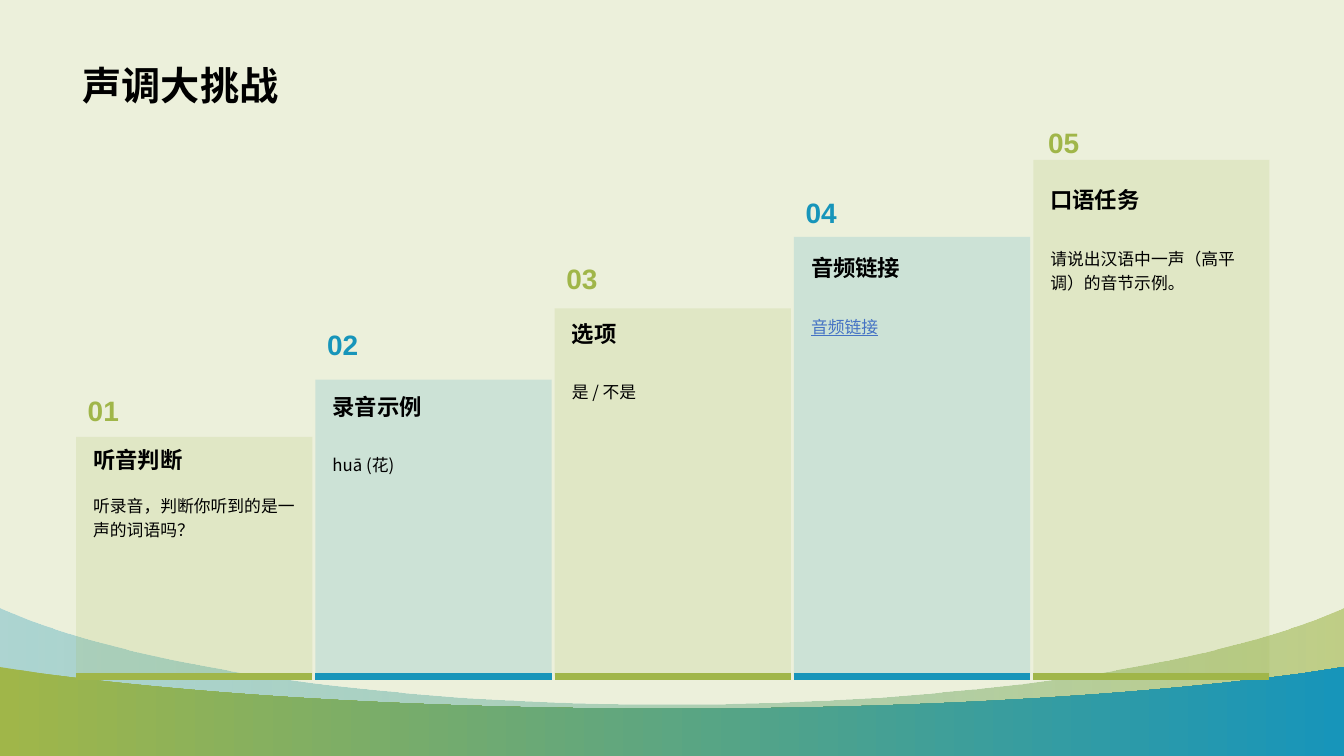
from lxml import etree
from pptx import Presentation
from pptx.dml.color import RGBColor
from pptx.enum.shapes import MSO_CONNECTOR, MSO_SHAPE
from pptx.enum.text import MSO_ANCHOR, MSO_AUTO_SIZE, PP_ALIGN
from pptx.oxml.ns import qn
from pptx.util import Cm, Pt

CREAM = RGBColor(0xEC, 0xF0, 0xDB)
GREEN = RGBColor(0xA0, 0xB6, 0x49)
BLUE = RGBColor(0x17, 0x95, 0xBA)
BLACK = RGBColor(0, 0, 0)
LINK = RGBColor(0x44, 0x72, 0xC4)
SANS = "Noto Sans CJK SC"
SLIDE_W, SLIDE_H = 33.87, 19.05

# number, heading, body, step top, number top, heading top, body gap (cm)
STEPS = [
    ("01", "听音判断", "听录音，判断你听到的是一声的词语吗？", 11.01, 9.78, 11.13, 1.14),
    ("02", "录音示例", "huā (花)", 9.57, 8.11, 9.78, 1.46),
    ("03", "选项", "是 / 不是", 7.77, 6.45, 7.93, 1.47),
    ("04", "音频链接", "音频链接", 5.97, 4.8, 6.27, 1.48),
    ("05", "口语任务", "请说出汉语中一声（高平调）的音节示例。", 4.03, 3.02, 4.56, 1.47),
]
LINKED_STEP = "04"

# edge height, then the Bezier points of the left half (cm)
BACK_WAVE = (15.32, [(0.1, 15.37), (3.33, 16.79), (9.65, 17.75), (16.93, 17.75)])
FRONT_WAVE = (16.81, [(1.04, 16.97), (5.23, 17.53), (10.8, 17.86), (16.93, 17.86)])


def set_alpha(color_parent, percent):
    color = color_parent.find(".//" + qn("a:srgbClr"))
    etree.SubElement(color, qn("a:alpha")).set("val", str(percent * 1000))


def write(frame, text, size, color, font=SANS, **formats):
    paragraph = frame.paragraphs[0]
    run = paragraph.add_run()
    run.text = text
    run.font.color.rgb = color
    for name, value in {"size": Pt(size), "name": font, **formats}.items():
        setattr(run.font, name, value)
    east_asian = etree.SubElement(run.font._element, qn("a:ea"))
    east_asian.set("typeface", font)
    return paragraph


def add_text(slide, box, *args, wrap=True, **formats):
    frame = slide.shapes.add_textbox(*map(Cm, box)).text_frame
    frame.word_wrap = wrap
    if wrap:
        frame.auto_size = MSO_AUTO_SIZE.SHAPE_TO_FIT_TEXT
    else:
        frame.vertical_anchor = MSO_ANCHOR.MIDDLE
    return write(frame, *args, **formats)


def bend(line, points, top):
    """Turn a straight path segment into a cubic Bezier curve."""
    curve = etree.Element(qn("a:cubicBezTo"))
    for x, y in points:
        point = etree.SubElement(curve, qn("a:pt"))
        point.set("x", str(int(Cm(x))))
        point.set("y", str(int(Cm(y) - Cm(top))))
    line.getparent().replace(line, curve)


def add_wave(slide, wave, angle, alphas=()):
    edge, left_curve = wave
    right_curve = [(SLIDE_W - x, y) for x, y in reversed(left_curve)]
    corners = [left_curve[0], left_curve[-1], right_curve[-1],
               (SLIDE_W, edge), (SLIDE_W, SLIDE_H), (0, SLIDE_H)]
    builder = slide.shapes.build_freeform(Cm(0), Cm(edge))
    builder.add_line_segments([(Cm(x), Cm(y)) for x, y in corners], close=True)
    shape = builder.convert_to_shape()
    lines = shape._element.spPr.findall(".//" + qn("a:lnTo"))
    for line, curve in zip(lines[1:3], (left_curve, right_curve)):
        bend(line, curve[1:], edge)

    shape.shadow.inherit = False
    shape.line.fill.background()
    shape.fill.gradient()
    shape.fill.gradient_angle = angle
    for stop, color, position in zip(shape.fill.gradient_stops, (GREEN, BLUE), (0, 1)):
        stop.color.rgb = color
        stop.position = position
    stops = shape._element.spPr.findall(".//" + qn("a:gs"))
    for stop, alpha in zip(stops, alphas):
        set_alpha(stop, alpha)


def add_title(slide, box):
    title = slide.shapes.title
    title.left, title.top, title.width, title.height = map(Cm, box)
    frame = title.text_frame
    frame.auto_size = MSO_AUTO_SIZE.NONE
    frame.vertical_anchor = MSO_ANCHOR.BOTTOM
    write(frame, "声调大挑战", 28, BLACK, bold=True).alignment = PP_ALIGN.LEFT


def add_step(slide, box, color, step, number_shift):
    left, top, width, height = box
    number, heading, body, _, number_top, heading_top, body_gap = step
    bottom = top + height

    # Panel
    panel = slide.shapes.add_shape(MSO_SHAPE.ROUNDED_RECTANGLE, *map(Cm, box))
    panel.adjustments[0] = 0
    panel.shadow.inherit = False
    panel.line.fill.background()
    panel.fill.solid()
    panel.fill.fore_color.rgb = color
    set_alpha(panel._element.spPr, 15)

    # Base line
    base = slide.shapes.add_connector(
        MSO_CONNECTOR.STRAIGHT, Cm(left), Cm(bottom), Cm(left + width), Cm(bottom))
    base.line.color.rgb = color
    base.line.width = Pt(5)
    etree.SubElement(base._element.spPr, qn("a:effectLst"))

    # Number, heading and body
    add_text(slide, (left + number_shift, number_top, 1.37, 1.12), number, 20, color,
             "Arial", wrap=False, bold=True).alignment = PP_ALIGN.CENTER
    text_left, text_width = left + 0.18, width - 0.18
    add_text(slide, (text_left, heading_top, text_width, 0.94), heading, 16, BLACK,
             bold=True)
    linked = number == LINKED_STEP
    formats = {"underline": True} if linked else {}
    add_text(slide, (text_left, heading_top + body_gap, text_width, 1.42), body, 12,
             LINK if linked else BLACK, **formats).line_spacing = 1.2


def add_staircase(slide, box):
    left, bottom, width, pitch = box
    for i, step in enumerate(STEPS):
        top = step[3]
        add_step(slide, (left + i * pitch, top, width, bottom - top),
                 (GREEN, BLUE)[i % 2], step, 0.08 if step is STEPS[-1] else 0)


def main():
    prs = Presentation()
    prs.slide_width, prs.slide_height = Cm(SLIDE_W), Cm(SLIDE_H)
    slide = prs.slides.add_slide(prs.slide_layouts[5])
    slide.background.fill.solid()
    slide.background.fill.fore_color.rgb = CREAM
    add_wave(slide, BACK_WAVE, 180, (58, 30))
    add_wave(slide, FRONT_WAVE, 0)
    add_title(slide, (1.83, 0.36, 30.18, 2.49))
    add_staircase(slide, (1.92, 17.04, 5.95, 6.03))
    prs.save("out.pptx")


if __name__ == "__main__":
    main()
